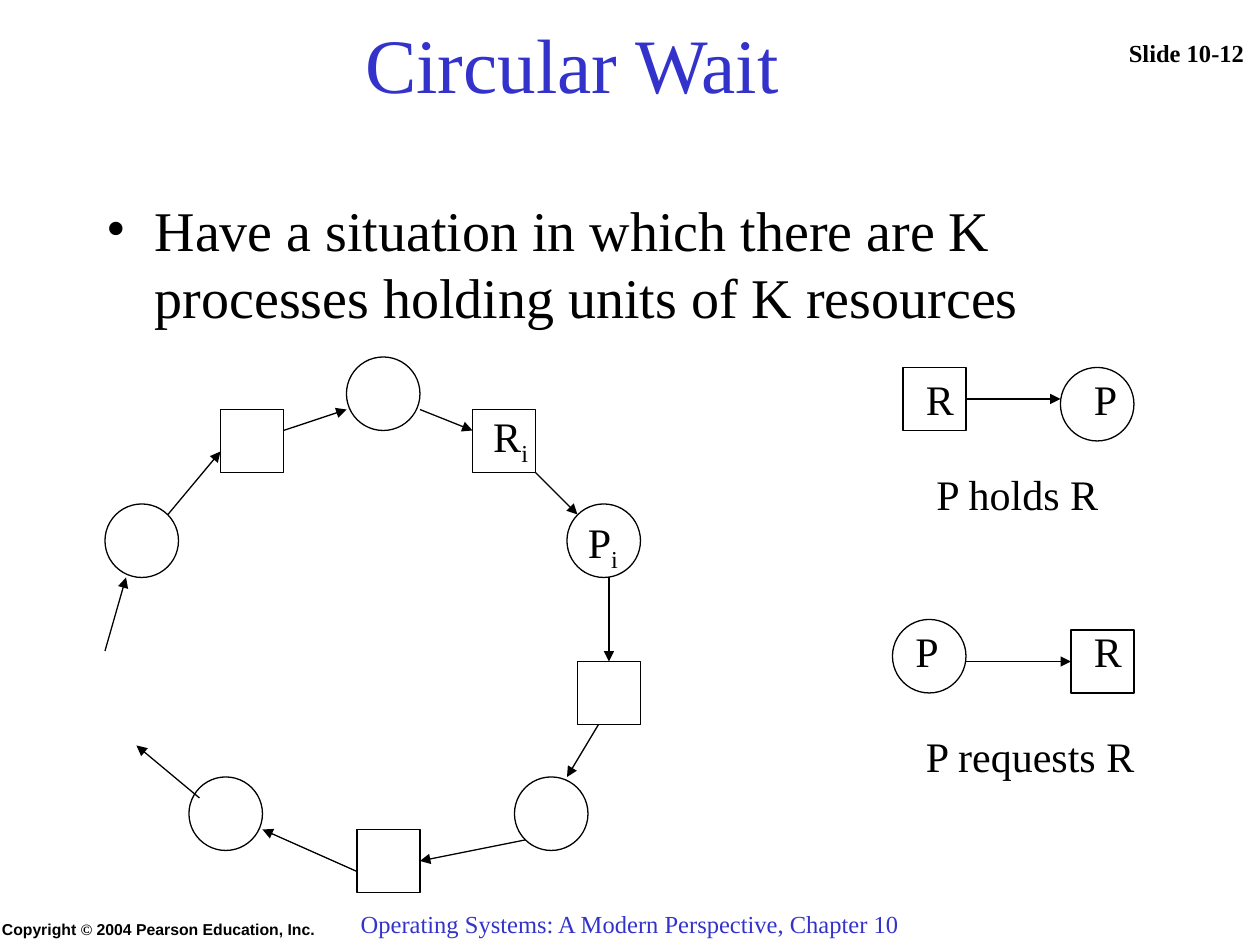
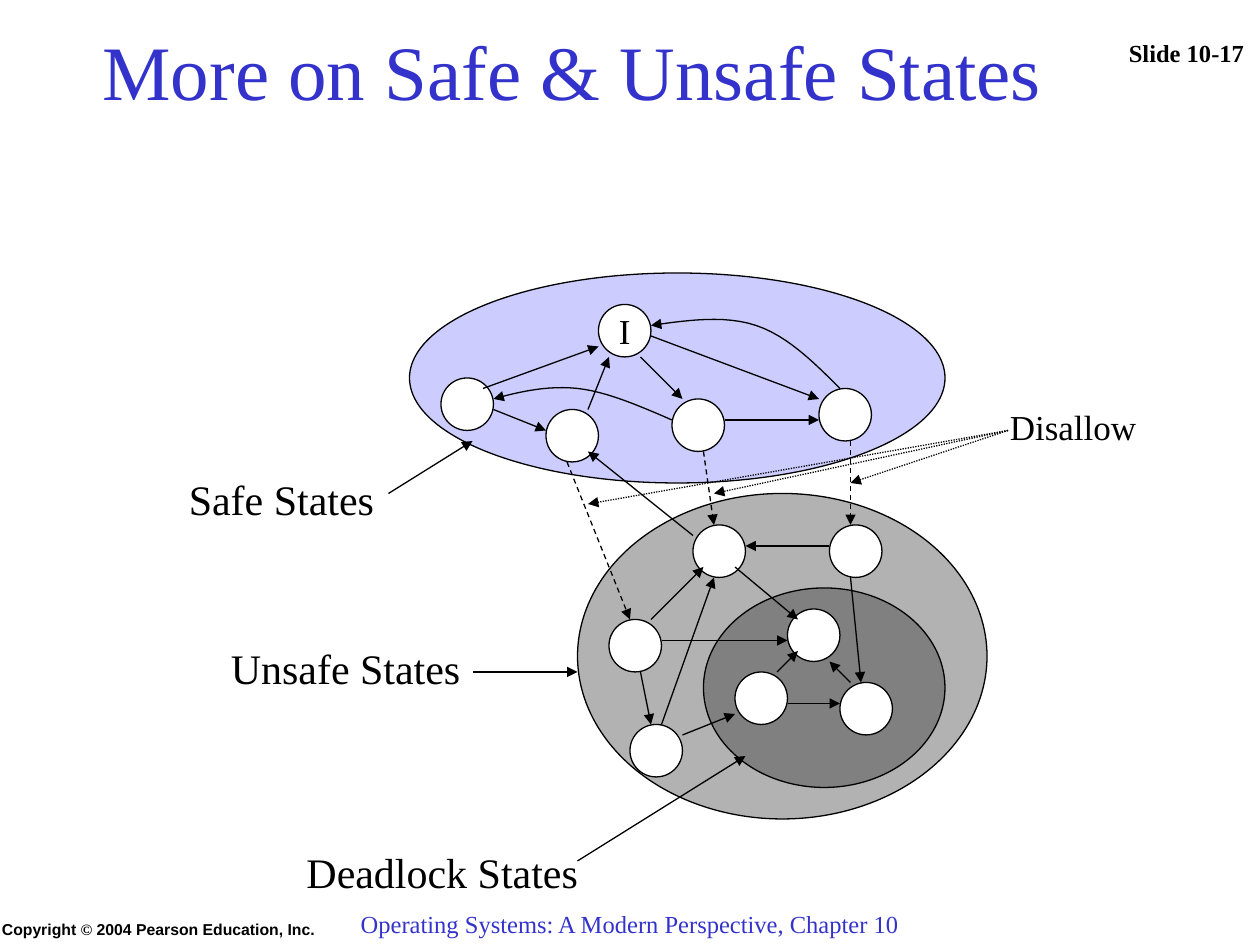
"""Build two operating-systems slides on circular wait and on safe and unsafe states."""
from lxml.etree import SubElement
from pptx import Presentation
from pptx.dml.color import RGBColor
from pptx.enum.dml import MSO_LINE as Dash
from pptx.enum.shapes import MSO_CONNECTOR as Link, MSO_SHAPE as Preset
from pptx.enum.text import MSO_ANCHOR as Anchor, MSO_AUTO_SIZE as Fit, PP_ALIGN as Align
from pptx.oxml.ns import qn
from pptx.util import Inches, Pt

GRID = 12
SERIF, SANS = "Times New Roman", "Arial"
BLACK, WHITE, BLUE = "000000", "FFFFFF", "3333CC"
LILAC, LIGHT_GRAY, DARK_GRAY = "CCCCFF", "B2B2B2", "808080"

CHAPTER = "Operating Systems: A Modern Perspective, Chapter 10"
COPYRIGHT = [("Copyright ", SANS), ("©", SERIF), (" 2004 Pearson Education, Inc.", SANS)]

WAIT = {
    "title": "Circular Wait",
    "title_rows": 6,
    "number": "Slide 10-12",
    "bullet": "Have a situation in which there are K processes holding units of K resources",
    "resources": [(21, 39), (102, 60), (86, 35), (34, 79), (55, 63), (45, 39)],
    "processes": [(33, 34), (85, 59), (101, 35), (10, 48), (18, 74), (49, 74), (54, 48)],
    "arrows": [
        (27, 41, 33, 39), (40, 39, 45, 41), (51, 45, 55, 49), (58, 55, 58, 63),
        (57, 69, 54, 74), (50, 80, 40, 82), (34, 83, 25, 79), (19, 76, 13, 71),
        (10, 62, 12, 55), (16, 49, 21, 43), (92, 38, 101, 38), (92, 63, 102, 63),
    ],
    "labels": [
        ("R", "", 87, 35, 5.1), ("P", "", 103, 35, 4.7),
        ("R", "", 103, 59, 5.1), ("P", "", 86, 59, 4.7),
        ("P holds R", "", 88, 44, 18), ("P requests R", "", 87, 69, 22.4),
        ("R", "i", 45.8, 38.5, 5.8), ("P", "i", 54.8, 48.6, 5.4),
    ],
}

STATES = {
    "title": "More on Safe & Unsafe States",
    "title_rows": 7.2,
    "number": "Slide 10-17",
    "regions": [
        (39, 26, 51, 20, LILAC), (55, 47, 39, 31, LIGHT_GRAY), (67, 56, 23, 19, DARK_GRAY),
    ],
    "states": [
        (42, 36), (78, 37), (64, 38), (52, 39), (60, 69), (79, 50),
        (66, 50), (58, 59), (80, 65), (70, 64), (75, 58),
    ],
    "initial": ("I", 57, 29),
    "arrows": [
        (75, 67, 80, 67), (74, 64, 76, 62), (81, 65, 79, 63), (65, 70, 70, 68),
        (61, 64, 62, 69), (47, 39, 52, 41), (46, 37, 57, 33), (61, 34, 65, 38),
        (56, 39, 58, 34), (69, 40, 78, 40), (62, 32, 78, 38), (66, 51, 56, 43),
        (63, 61, 75, 61), (62, 59, 67, 54), (81, 55, 82, 65), (70, 54, 76, 59),
        (79, 52, 71, 52), (63, 69, 68, 55),
        (55, 82, 71, 72), (45, 64, 55, 64), (37, 47, 45, 42),
    ],
    "barred": [(67, 43, 68, 50), (54, 44, 60, 59), (81, 42, 81, 50)],
    "pointers": [(96, 41, 56, 48), (96, 41, 68, 47), (96, 41, 81, 46)],
    "curves": [
        [(64, 40), (61, 38.7), (57.8, 37.3), (55, 37), (52.2, 36.7), (49.5, 37.3), (47, 38)],
        [(80, 37), (77.5, 34.5), (75, 32), (72, 31), (69, 30), (65.5, 30.5), (62, 31)],
    ],
    "labels": [
        ("Safe States", 16.8, 44.5, 20.2, 24), ("Unsafe States", 20.8, 60.6, 24.5, 24),
        ("Deadlock States", 28, 80, 28.5, 24), ("Disallow", 95, 38, 14.6, 20),
    ],
}


def at(*steps):
    return [Inches(step / GRID) for step in steps]


def color(code):
    return RGBColor.from_string(code)


def add_run(paragraph, text, size, ink=BLACK, font=SERIF, bold=False):
    run = paragraph.add_run()
    run.text = text
    run.font.size, run.font.name, run.font.bold = Pt(size), font, bold
    run.font.color.rgb = color(ink)
    return run


def add_text(slide, place, align=Align.LEFT, anchor=Anchor.TOP):
    frame = slide.shapes.add_textbox(*at(*place)).text_frame
    frame.word_wrap, frame.vertical_anchor = True, anchor
    frame.paragraphs[0].alignment = align
    return frame.paragraphs[0]


def add_label(slide, place):
    frame = slide.shapes.add_textbox(*at(*place)).text_frame
    frame.word_wrap, frame.auto_size = False, Fit.SHAPE_TO_FIT_TEXT
    return frame.paragraphs[0]


def add_node(slide, preset, place, fill=None):
    node = slide.shapes.add_shape(preset, *at(*place))
    node.shadow.inherit = False
    if fill:
        node.fill.solid()
        node.fill.fore_color.rgb = color(fill)
    else:
        node.fill.background()
    node.line.color.rgb, node.line.width = color(BLACK), Pt(0.75)
    return node


def finish_arrow(arrow, dash=None):
    arrow.line.color.rgb, arrow.line.width = color(BLACK), Pt(0.75)
    if dash:
        arrow.line.dash_style = dash
    SubElement(arrow.element.spPr.find(qn("a:ln")), qn("a:tailEnd"), type="triangle")


def add_arrows(slide, arrows, dash=None):
    for ends in arrows:
        arrow = slide.shapes.add_connector(Link.STRAIGHT, *at(*ends))
        finish_arrow(arrow, dash)
        SubElement(arrow.element.spPr, qn("a:effectLst"))


def bezier(points, share):
    while len(points) > 1:
        points = [
            tuple(a + (b - a) * share for a, b in zip(start, end))
            for start, end in zip(points, points[1:])
        ]
    return points[0]


def add_curve(slide, points, steps=12):
    track = [points[0]]
    for first in range(0, len(points) - 1, 3):
        piece = points[first:first + 4]
        track += [bezier(piece, step / steps) for step in range(1, steps + 1)]
    builder = slide.shapes.build_freeform(*at(*track[0]))
    builder.add_line_segments([at(*point) for point in track[1:]], close=False)
    curve = builder.convert_to_shape()
    curve.shadow.inherit = False
    curve.fill.background()
    finish_arrow(curve)


def start_slide(deck, content):
    slide = deck.slides.add_slide(deck.slide_layouts[6])
    number = add_text(slide, (106, -2, 14, 9), Align.CENTER, Anchor.BOTTOM)
    add_run(number, content["number"], 14, bold=True)
    rights = add_text(slide, (-1, 87, 58, 3))
    for text, font in COPYRIGHT:
        add_run(rights, text, 9, font=font, bold=True)
    add_run(add_text(slide, (27.5, 86, 65, 3), Align.CENTER), CHAPTER, 14, BLUE)
    return slide


def add_title(slide, content):
    place = (4, 3, 101, content["title_rows"])
    add_run(add_text(slide, place, Align.CENTER, Anchor.MIDDLE), content["title"], 44, BLUE)


def build_wait(deck):
    slide = start_slide(deck, WAIT)
    add_title(slide, WAIT)
    situation = add_text(slide, (9, 18, 102, 15))
    layout = situation._p.get_or_add_pPr()
    layout.set("marL", str(Inches(0.38)))
    layout.set("indent", str(-Inches(0.38)))
    SubElement(layout, qn("a:buFont"), typeface=SERIF)
    SubElement(layout, qn("a:buChar"), char="•")
    add_run(situation, WAIT["bullet"], 32)
    for place in WAIT["resources"]:
        add_node(slide, Preset.RECTANGLE, (*place, 6, 6))
    for place in WAIT["processes"]:
        add_node(slide, Preset.OVAL, (*place, 7, 7))
    add_arrows(slide, WAIT["arrows"])
    for text, index, left, top, width in WAIT["labels"]:
        label = add_label(slide, (left, top, width, 6.7 if index else 6))
        add_run(label, text, 24)
        if index:
            add_run(label, index, 24).font._element.set("baseline", "-25000")


def build_states(deck):
    slide = start_slide(deck, STATES)
    for *place, fill in STATES["regions"]:
        add_node(slide, Preset.OVAL, place, fill)
    add_title(slide, STATES)
    for place in STATES["states"]:
        add_node(slide, Preset.OVAL, (*place, 5, 5), WHITE)
    name, *place = STATES["initial"]
    frame = add_node(slide, Preset.OVAL, (*place, 5, 5), WHITE).text_frame
    frame.word_wrap, frame.vertical_anchor = False, Anchor.MIDDLE
    frame.paragraphs[0].alignment = Align.CENTER
    add_run(frame.paragraphs[0], name, 20)
    add_arrows(slide, STATES["arrows"])
    add_arrows(slide, STATES["barred"], Dash.DASH)
    for points in STATES["curves"]:
        add_curve(slide, points)
    for text, left, top, width, size in STATES["labels"]:
        add_run(add_label(slide, (left, top, width, size / 4)), text, size)
    add_arrows(slide, STATES["pointers"], Dash.ROUND_DOT)


def main():
    deck = Presentation()
    deck.slide_width, deck.slide_height = Inches(10), Inches(7.5)
    build_wait(deck)
    build_states(deck)
    deck.save("out.pptx")


if __name__ == "__main__":
    main()
